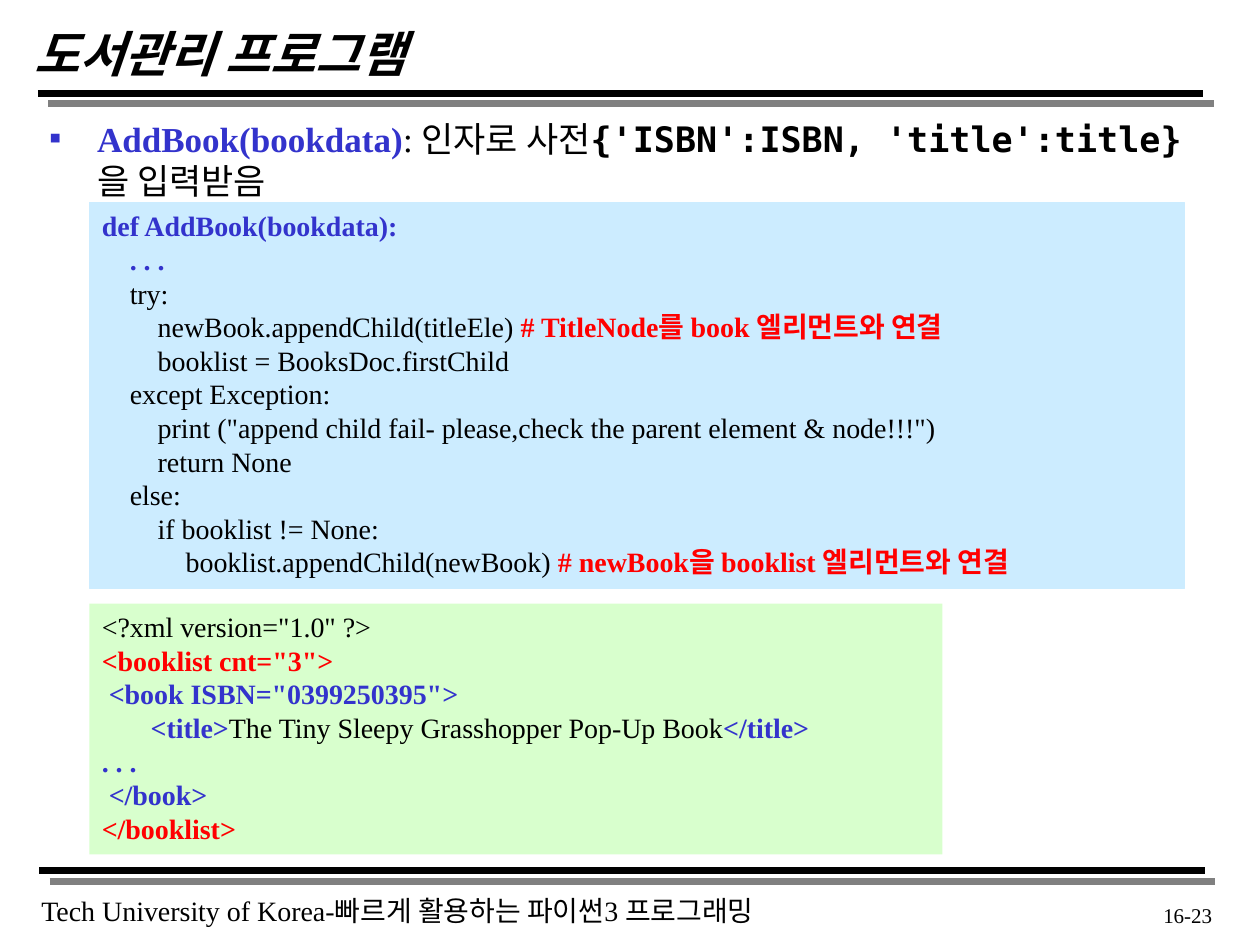
from lxml import etree
from pptx import Presentation
from pptx.dml.color import RGBColor
from pptx.enum.shapes import MSO_CONNECTOR, MSO_SHAPE
from pptx.enum.text import MSO_ANCHOR, MSO_AUTO_SIZE, PP_ALIGN
from pptx.oxml.ns import qn
from pptx.util import Inches, Pt

LINE, RECT = MSO_CONNECTOR.STRAIGHT, MSO_SHAPE.RECTANGLE
TOP, MIDDLE = MSO_ANCHOR.TOP, MSO_ANCHOR.MIDDLE
LEFT, RIGHT = PP_ALIGN.LEFT, PP_ALIGN.RIGHT
FIXED = MSO_AUTO_SIZE.NONE
SERIF, MONO = "Times New Roman", "DejaVu Sans Mono"
HEX = {"black": "000000", "gray": "808080", "blue": "3333CC",
       "red": "FF0000", "sky": "CCECFF", "green": "D8FFCD"}
RGB = {name: RGBColor.from_string(code) for name, code in HEX.items()}


def write(para, text, size=16, color="black", bold=False, italic=False, face=SERIF):
    run = para.add_run()
    run.text = text
    font = run.font
    font.name, font.size = face, Pt(size)
    font.bold, font.italic = bold, italic
    font.color.rgb = RGB[color]


def setup(shape, box, anchor=TOP, align=LEFT, wrap=True):
    """Place a shape, set its text frame and return the first paragraph."""
    shape.left, shape.top, shape.width, shape.height = map(Inches, box)
    frame = shape.text_frame
    frame.auto_size, frame.word_wrap = FIXED, wrap
    frame.vertical_anchor = anchor
    para = frame.paragraphs[0]
    para.alignment = align
    return para


deck = Presentation()
deck.slide_width, deck.slide_height = Inches(10), Inches(7.5)
slide = deck.slides.add_slide(deck.slide_layouts[1])
shapes = slide.shapes

# Double rules with a hard gray shadow
for left, y in ((0.3, 0.74), (0.31, 6.91)):
    for start in (left + 0.75, left):
        rule = shapes.add_connector(LINE, Inches(start), Inches(y),
                                    Inches(left + 9.25), Inches(y))
        rule.line.color.rgb = RGB["black"]
        rule.line.width = Pt(4)
        fx = etree.SubElement(rule._element.spPr, qn("a:effectLst"))
        shade = etree.SubElement(fx, qn("a:outerShdw"), blurRad="0", dist=str(Pt(8.5)),
                                 dir=str(45 * 60000), algn="ctr", rotWithShape="0")
        etree.SubElement(shade, qn("a:srgbClr"), val=HEX["gray"])

# Title
para = setup(shapes.title, (0.17, 0.17, 8.5, 0.5), anchor=MIDDLE)
write(para, "도서관리 프로그램", size=28, bold=True, italic=True)

# Bulleted statement
para = setup(slide.placeholders[1], (0.29, 0.88, 9.38, 5.63))
para.space_before = Pt(0)
props = para._p.get_or_add_pPr()
props.set("marL", str(Inches(0.38)))
props.set("indent", str(-Inches(0.38)))
tint = etree.SubElement(props, qn("a:buClr"))
etree.SubElement(tint, qn("a:srgbClr"), val=HEX["blue"])
etree.SubElement(props, qn("a:buFont"), typeface=SERIF)
etree.SubElement(props, qn("a:buChar"), char="▪")
write(para, "AddBook(bookdata)", size=20, color="blue", bold=True)
write(para, ": 인자로 사전", size=20)
write(para, "{'ISBN':ISBN, 'title':title}", size=20, bold=True, face=MONO)
write(para, "을 입력받음", size=20)

# Code panels: each line is a list of (text, colour); coloured text is bold
code = [
    [("def AddBook(bookdata):", "blue")],
    [("    . . .", "blue")],
    [("    try:", "black")],
    [("        newBook.appendChild(titleEle) ", "black"),
     ("# TitleNode를 book 엘리먼트와 연결", "red")],
    [("        booklist = BooksDoc.firstChild", "black")],
    [("    except Exception:", "black")],
    [('        print ("append child fail- please,check the parent element & node!!!")',
      "black")],
    [("        return None", "black")],
    [("    else:", "black")],
    [("        if booklist != None:", "black")],
    [("            booklist.appendChild(newBook) ", "black"),
     ("# newBook을 booklist 엘리먼트와 연결", "red")],
]
xml = [
    [('<?xml version="1.0" ?>', "black")],
    [('<booklist cnt="3">', "red")],
    [(" ", "black"), ('<book ISBN="0399250395">', "blue")],
    [("       ", "black"), ("<title>", "blue"),
     ("The Tiny Sleepy Grasshopper Pop-Up Book", "black"), ("</title>", "blue")],
    [(". . .", "blue")],
    [(" ", "black"), ("</book>", "blue")],
    [("</booklist>", "red")],
]
for box, fill, edge, lines in (((0.71, 1.61, 8.69, 3.06), "sky", True, code),
                               ((0.71, 4.79, 6.77, 1.99), "green", False, xml)):
    panel = shapes.add_shape(RECT, *map(Inches, box))
    panel.shadow.inherit = False
    panel.fill.solid()
    panel.fill.fore_color.rgb = RGB[fill]
    if edge:
        panel.line.color.rgb = RGB[fill]
        panel.line.width = Pt(0.75)
    else:
        panel.line.fill.background()
    para = setup(panel, box)
    for i, line in enumerate(lines):
        if i:
            para = panel.text_frame.add_paragraph()
            para.alignment = LEFT
        for text, color in line:
            write(para, text, color=color, bold=color != "black")

# Footer and page number
for box, text, size, align, wrap in (
        ((0.23, 7.04, 6.21, 0.37),
         "Tech University of Korea-빠르게 활용하는 파이썬3 프로그래밍", 16, LEFT, False),
        ((8.89, 7.11, 0.83, 0.32), "16-23", 12, RIGHT, True)):
    note = shapes.add_textbox(*map(Inches, box))
    write(setup(note, box, align=align, wrap=wrap), text, size=size)

deck.save("out.pptx")
